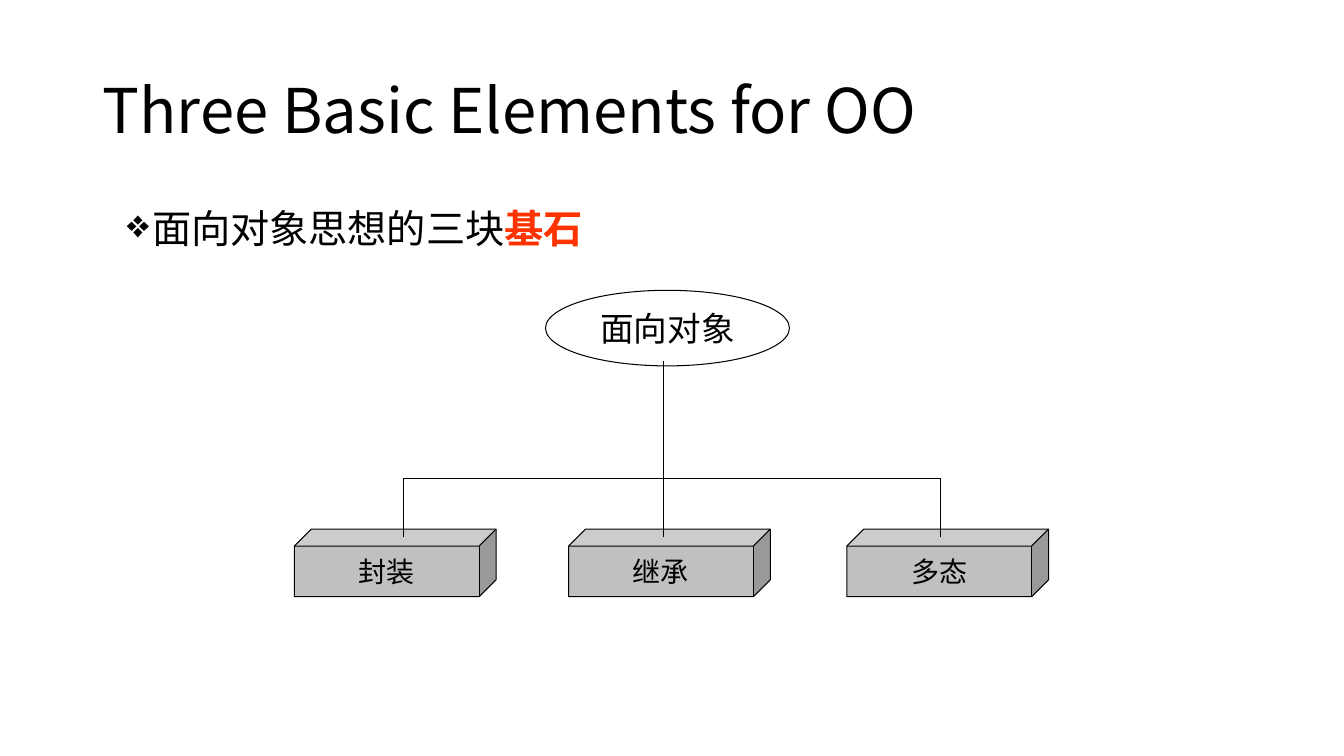
from dataclasses import dataclass

from lxml import etree
from pptx import Presentation
from pptx import util as u
from pptx.dml.color import RGBColor
from pptx.enum import shapes, text
from pptx.oxml import ns


@dataclass(frozen=True)
class Theme:
    """Colours, fonts and type sizes of the slide."""
    ink: RGBColor = RGBColor(0, 0, 0)
    paper: RGBColor = RGBColor(255, 255, 255)
    block: RGBColor = RGBColor(0xC0, 0xC0, 0xC0)
    accent: RGBColor = RGBColor(0xFF, 0x33, 0)
    sans: str = "Noto Sans CJK SC"
    serif: str = "Times New Roman"
    title: int = 44
    body: int = 28
    root: int = 24
    leaf: int = 20
    line: float = 0.75


@dataclass(frozen=True)
class Box:
    """A place on the slide, in inches."""
    left: float
    top: float
    width: float
    height: float

    def place(self) -> list:
        """Return the four lengths."""
        return [u.Inches(v) for v in (self.left, self.top, self.width, self.height)]


@dataclass(frozen=True)
class Node:
    """A labelled shape of the tree."""
    label: str
    box: Box
    kind: shapes.MSO_SHAPE
    fill: RGBColor
    size: int


@dataclass(frozen=True)
class Line:
    """A straight line between two points, in inches."""
    x1: float
    y1: float
    x2: float
    y2: float


THEME = Theme()
BAR = 4.75
FOOT = 5.33
STEMS = (4, 9.33, 6.58)
LEAVES = (("封装", 2.92), ("多态", 8.4), ("继承", 5.64))


def add_tag(parent, name: str, **attrs: str):
    """Append a drawing element to a parent."""
    return etree.SubElement(parent, ns.qn(name), attrs)


def style(run, size: int, face: str, color: RGBColor, bold: bool = False) -> None:
    """Format one run."""
    font = run.font
    font.size, font.name, font.bold = u.Pt(size), face, bold
    font.color.rgb = color
    add_tag(run._r.get_or_add_rPr(), "a:ea", typeface=THEME.sans)


def add_text(slide, box: Box, words: str, size: int, anchor: text.MSO_ANCHOR):
    """Add a wrapped text box and return its paragraph."""
    frame = slide.shapes.add_textbox(*box.place()).text_frame
    frame.word_wrap = True
    frame.vertical_anchor = anchor
    frame.text = words
    para = frame.paragraphs[0]
    para.line_spacing = 0.9
    style(para.runs[0], size, THEME.sans, THEME.ink)
    return para


def add_point(slide) -> None:
    """Add the bulleted sentence with its stressed word."""
    box = Box(1.16, 2.03, 9.76, 4.18)
    para = add_text(slide, box, "面向对象思想的三块", THEME.body, text.MSO_ANCHOR.TOP)
    para.space_before = u.Pt(10)
    props = para._p.get_or_add_pPr()
    props.set("marL", str(u.Inches(0.25)))
    props.set("indent", str(u.Inches(-0.25)))
    add_tag(add_tag(props, "a:buClr"), "a:srgbClr", val=str(THEME.ink))
    add_tag(props, "a:buChar", char="❖")
    run = para.add_run()
    run.text = "基石"
    style(run, THEME.body, THEME.sans, THEME.accent, True)


def add_node(slide, node: Node) -> None:
    """Add a filled, outlined shape with a centred label."""
    shape = slide.shapes.add_shape(node.kind, *node.box.place())
    shape.shadow.inherit = False
    shape.fill.solid()
    shape.fill.fore_color.rgb = node.fill
    shape.line.color.rgb = THEME.ink
    shape.line.width = u.Pt(THEME.line)
    frame = shape.text_frame
    frame.word_wrap = False
    frame.vertical_anchor = text.MSO_ANCHOR.MIDDLE
    frame.text = node.label
    para = frame.paragraphs[0]
    para.alignment = text.PP_ALIGN.CENTER
    style(para.runs[0], node.size, THEME.serif, THEME.ink)


def add_line(slide, line: Line) -> None:
    """Add a thin straight line."""
    ends = [u.Inches(v) for v in (line.x1, line.y1, line.x2, line.y2)]
    link = slide.shapes.add_connector(shapes.MSO_CONNECTOR.STRAIGHT, *ends)
    link.line.color.rgb = THEME.ink
    link.line.width = u.Pt(THEME.line)
    add_tag(link._element.spPr, "a:effectLst")


def main() -> None:
    """Build and save the slide."""
    deck = Presentation()
    deck.slide_width, deck.slide_height = u.Inches(13.33), u.Inches(7.5)
    slide = deck.slides.add_slide(deck.slide_layouts[6])
    add_text(slide, Box(0.92, 0.4, 11.5, 1.45), "Three Basic Elements for OO",
             THEME.title, text.MSO_ANCHOR.MIDDLE)
    add_point(slide)
    for label, left in LEAVES:
        add_node(slide, Node(label, Box(left, 5.25, 2, 0.67),
                             shapes.MSO_SHAPE.CUBE, THEME.block, THEME.leaf))
    for stem in STEMS:
        add_line(slide, Line(stem, FOOT, stem, BAR))
    add_line(slide, Line(min(STEMS), BAR, max(STEMS), BAR))
    add_node(slide, Node("面向对象", Box(5.41, 2.88, 2.42, 0.75),
                         shapes.MSO_SHAPE.OVAL, THEME.paper, THEME.root))
    add_line(slide, Line(STEMS[-1], BAR, STEMS[-1], 3.58))
    deck.save("out.pptx")


if __name__ == "__main__":
    main()
